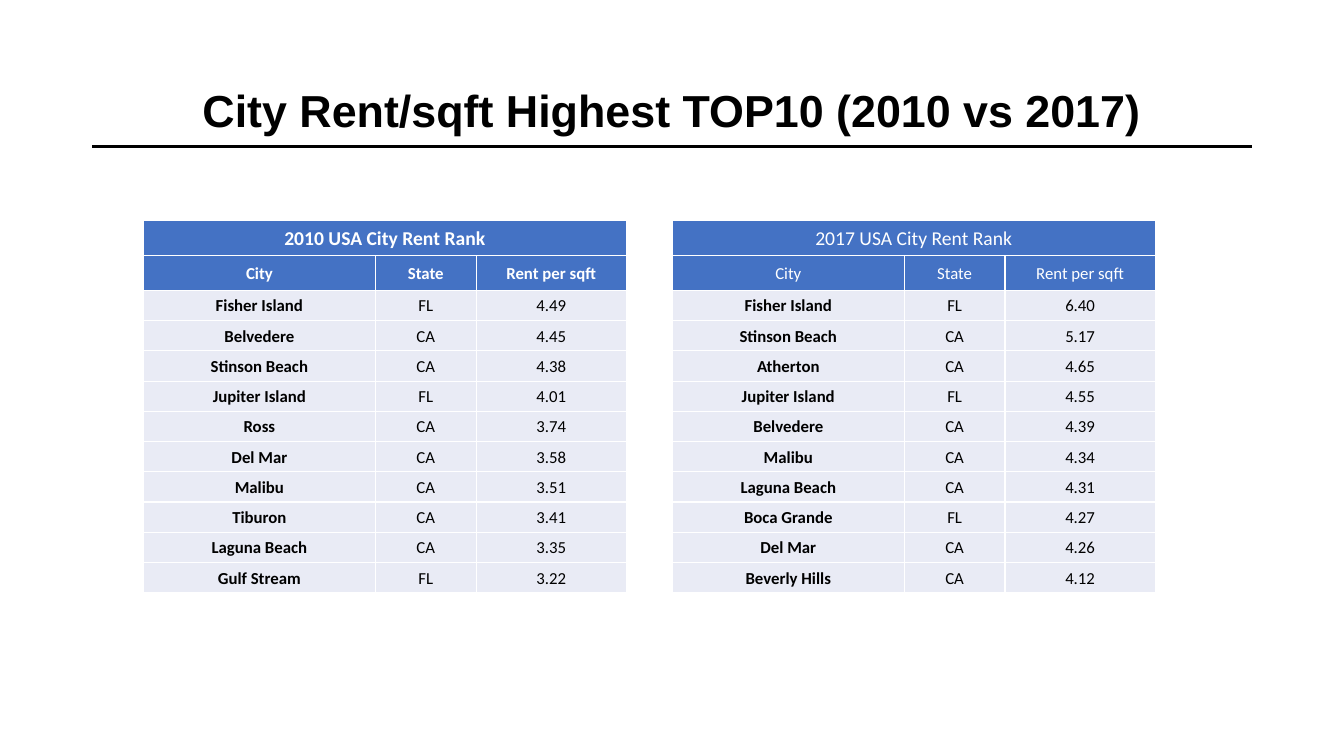
import pptx
import pptx.util
import pptx.dml.color
import pptx.enum.shapes
import pptx.enum.text
import pptx.oxml

Pt = pptx.util.Pt
TEXT = pptx.enum.text

COLORS = {"ink": "000000", "white": "FFFFFF", "head": "4472C4", "body": "E9EBF5"}
COLS = [165.6, 72, 107.3]
ROWS = [25, 24.8] + [21.6] * 10
TOP = 157.7
HEADS = ("City", "State", "Rent per sqft")

RENT_2010 = [
    ("Fisher Island", "FL", "4.49"),
    ("Belvedere", "CA", "4.45"),
    ("Stinson Beach", "CA", "4.38"),
    ("Jupiter Island", "FL", "4.01"),
    ("Ross", "CA", "3.74"),
    ("Del Mar", "CA", "3.58"),
    ("Malibu", "CA", "3.51"),
    ("Tiburon", "CA", "3.41"),
    ("Laguna Beach", "CA", "3.35"),
    ("Gulf Stream", "FL", "3.22"),
]
RENT_2017 = [
    ("Fisher Island", "FL", "6.40"),
    ("Stinson Beach", "CA", "5.17"),
    ("Atherton", "CA", "4.65"),
    ("Jupiter Island", "FL", "4.55"),
    ("Belvedere", "CA", "4.39"),
    ("Malibu", "CA", "4.34"),
    ("Laguna Beach", "CA", "4.31"),
    ("Boca Grande", "FL", "4.27"),
    ("Del Mar", "CA", "4.26"),
    ("Beverly Hills", "CA", "4.12"),
]


def color(name):
    return pptx.dml.color.RGBColor.from_string(COLORS[name])


def style(para, face, size, ink, bold, space):
    para.alignment = TEXT.PP_ALIGN.CENTER
    para.line_spacing = space
    para.font.name = face
    para.font.size = Pt(size)
    para.font.bold = bold
    para.font.color.rgb = color(ink)


def add_title(slide, text):
    title = slide.shapes.title
    title.left, title.top, title.width, title.height = Pt(66), Pt(28.8), Pt(828), Pt(104.4)
    frame = title.text_frame
    frame.text = text
    frame.auto_size = TEXT.MSO_AUTO_SIZE.NONE
    frame.vertical_anchor = TEXT.MSO_ANCHOR.MIDDLE
    style(frame.paragraphs[0], "Arial", 32, "ink", True, 0.9)


def add_rule(slide, left, right, y):
    kind = pptx.enum.shapes.MSO_CONNECTOR.STRAIGHT
    rule = slide.shapes.add_connector(kind, Pt(left), Pt(y), Pt(right), Pt(y))
    rule.line.color.rgb = color("ink")
    rule.line.width = Pt(2.25)
    props = rule._element.spPr
    props.append(pptx.oxml.parse_xml(
        '<a:effectLst xmlns:a="http://schemas.openxmlformats.org/drawingml/2006/main"/>'))


def add_border(cell):
    props = cell._tc.get_or_add_tcPr()
    for side in "LRTB":
        props.append(pptx.oxml.parse_xml(
            f'<a:ln{side} xmlns:a="http://schemas.openxmlformats.org/drawingml/2006/main"'
            f' w="{Pt(1)}"><a:solidFill><a:srgbClr val="{COLORS["white"]}"/>'
            f'</a:solidFill></a:ln{side}>'))


def fill_cell(cell, text, size, ink, bold, back):
    add_border(cell)
    cell.fill.solid()
    cell.fill.fore_color.rgb = color(back)
    cell.margin_left = cell.margin_right = Pt(2.2)
    cell.margin_top = cell.margin_bottom = Pt(2.2)
    cell.vertical_anchor = TEXT.MSO_ANCHOR.MIDDLE
    cell.text = text
    style(cell.text_frame.paragraphs[0], "Calibri", size, ink, bold, 1.07)


def add_rank(slide, left, name, data, bold):
    frame = slide.shapes.add_table(
        len(ROWS), len(COLS), Pt(left), Pt(TOP), Pt(sum(COLS)), Pt(sum(ROWS)))
    table = frame.table
    for col, width in zip(table.columns, COLS):
        col.width = Pt(width)
    for row, height in zip(table.rows, ROWS):
        row.height = Pt(height)
    table.cell(0, 0).merge(table.cell(0, len(COLS) - 1))

    # Two header rows, then the ranked cities
    for r, row in enumerate([(name, "", ""), HEADS] + data):
        for c, text in enumerate(row):
            cell = table.cell(r, c)
            if r < 2:
                fill_cell(cell, text, 12 if r else 14, "white", bold, "head")
            else:
                fill_cell(cell, text, 12, "ink", c == 0, "body")


def main():
    deck = pptx.Presentation()
    deck.slide_width, deck.slide_height = Pt(960), Pt(540)
    slide = deck.slides.add_slide(deck.slide_layouts[5])

    # Heading
    add_title(slide, "City Rent/sqft Highest TOP10 (2010 vs 2017)")
    add_rule(slide, 66, 894, 104.6)

    # Rankings side by side
    add_rank(slide, 102.5, "2010 USA City Rent Rank", RENT_2010, True)
    add_rank(slide, 480.3, "2017 USA City Rent Rank", RENT_2017, False)

    deck.save("out.pptx")


main()
